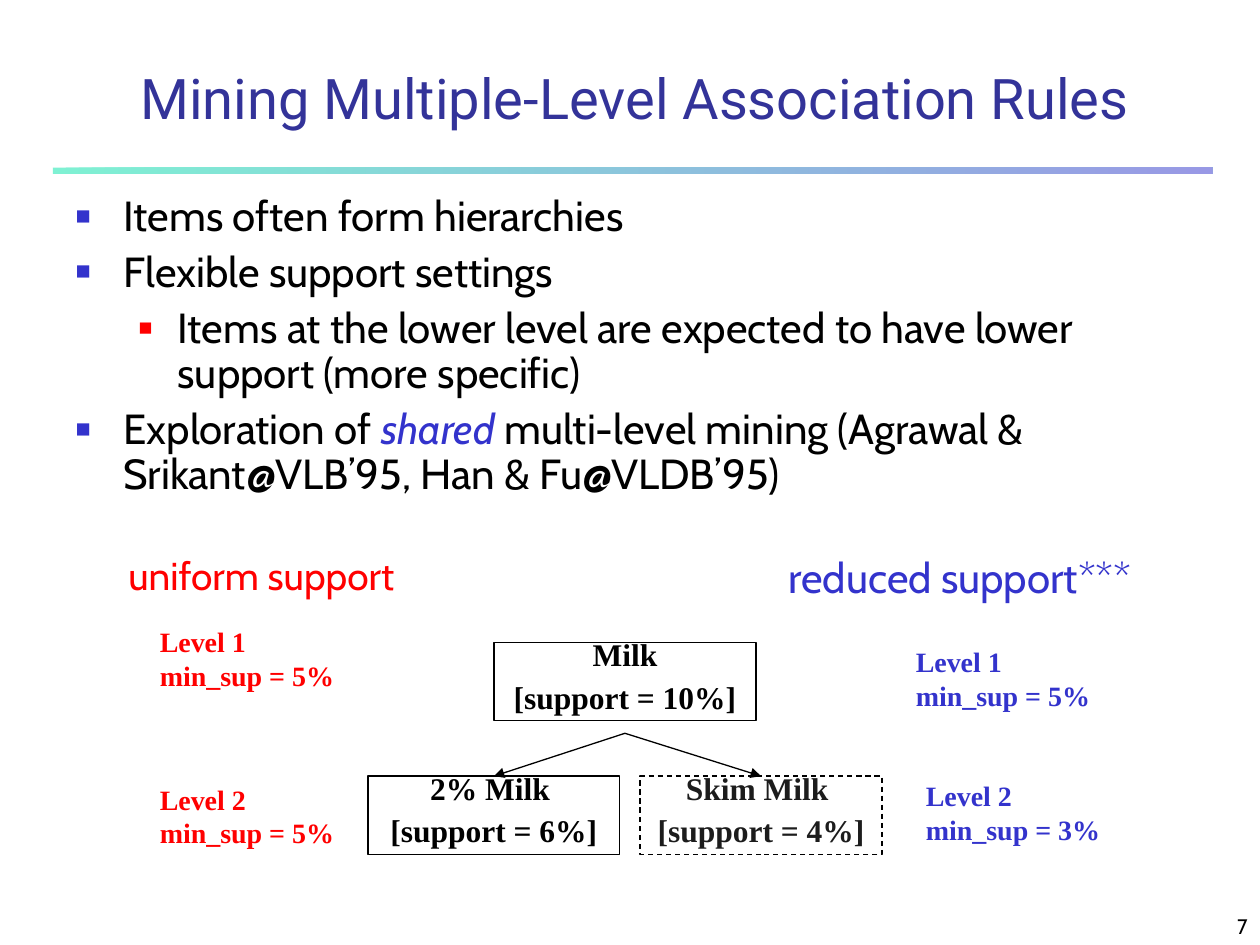
from dataclasses import dataclass

from lxml import etree
from pptx import Presentation
from pptx import util as u
from pptx.dml.color import RGBColor
from pptx.enum import dml, shapes, text
from pptx.oxml import ns


@dataclass(frozen=True)
class Theme:
    black: str = "000000"
    charcoal: str = "1C1C1C"
    white: str = "FFFFFF"
    navy: str = "333399"
    blue: str = "3333CC"
    red: str = "FF0000"
    mint: str = "00E4A8"
    heading: str = "Roboto"
    body: str = "Cabin"
    serif: str = "Times New Roman"
    title_size: float = 32
    body_size: float = 24
    uniform_size: float = 22.2
    node_size: float = 18
    level_size: float = 16
    number_size: float = 12


THEME = Theme()
LEFT, CENTER, RIGHT = text.PP_ALIGN.LEFT, text.PP_ALIGN.CENTER, text.PP_ALIGN.RIGHT


def rgb(color):
    return RGBColor.from_string(color)


def apply(target, values):
    for name, value in values.items():
        setattr(target, name, value)


def add_span(para, words, size, face, color, **styles):
    span = para.add_run()
    span.text = words
    apply(span.font, {"size": u.Pt(size), "name": face, **styles})
    span.font.color.rgb = rgb(color)


def place(shape, left, top, width, height):
    values = {"left": left, "top": top, "width": width, "height": height}
    apply(shape, {name: u.Inches(value) for name, value in values.items()})


def write_lines(frame, lines, size, face, color, align=LEFT, bold=False,
                line_spacing=None, gap=0):
    for index, line in enumerate(lines):
        para = frame.add_paragraph() if index else frame.paragraphs[0]
        apply(para, {"alignment": align, "line_spacing": line_spacing,
                     "space_before": u.Pt(gap if index else 0)})
        add_span(para, line, size, face, color, bold=bold)


def add_label(page, at, lines, size, face, color, wrap=False, bold=False,
              align=LEFT, anchor=text.MSO_ANCHOR.TOP):
    box = page.shapes.add_textbox(*map(u.Inches, at))
    apply(box.text_frame, {"word_wrap": wrap, "vertical_anchor": anchor})
    write_lines(box.text_frame, lines, size, face, color, align, bold)


def set_half_transparent(shape):
    for color in shape._element.spPr.iter(ns.qn("a:srgbClr")):
        etree.SubElement(color, ns.qn("a:alpha"), val="50000")


def add_rectangle(page, at):
    shape = page.shapes.add_shape(shapes.MSO_SHAPE.RECTANGLE, *map(u.Inches, at))
    shape.shadow.inherit = False
    return shape


def add_rule(page):
    rule = add_rectangle(page, (0.42, 1.33, 9.2, 0.05))
    rule.fill.gradient()
    rule.fill.gradient_angle = 0
    for stop, color in zip(rule.fill.gradient_stops, (THEME.mint, THEME.blue)):
        stop.color.rgb = rgb(color)
    set_half_transparent(rule)
    rule.line.fill.background()


def add_node(page, at, lines, color=THEME.black, faded=False):
    """Draw one item of the hierarchy; a faded one is dashed and see-through."""
    node = add_rectangle(page, at)
    node.fill.solid()
    node.fill.fore_color.rgb = rgb(THEME.white)
    if faded:
        set_half_transparent(node)
    node.line.color.rgb = rgb(THEME.black)
    node.line.width = u.Pt(0.75)
    if faded:
        node.line.dash_style = dml.MSO_LINE.DASH
    apply(node.text_frame, {"word_wrap": True, "vertical_anchor": text.MSO_ANCHOR.TOP})
    write_lines(node.text_frame, lines, THEME.node_size, THEME.serif, color,
                CENTER, True, 0.6, 11.2)


def add_arrow(page, start, end):
    arrow = page.shapes.add_connector(
        shapes.MSO_CONNECTOR.STRAIGHT, *map(u.Inches, start + end))
    arrow.line.color.rgb = rgb(THEME.black)
    arrow.line.width = u.Pt(0.75)
    etree.SubElement(arrow.line._get_or_add_ln(), ns.qn("a:tailEnd"), type="triangle")
    etree.SubElement(arrow._element.spPr, ns.qn("a:effectLst"))


def set_bullet(para, color, percent, margin, indent):
    props = para._p.get_or_add_pPr()
    props.set("marL", str(u.Inches(margin)))
    props.set("indent", str(u.Inches(indent)))
    bullet_color = etree.SubElement(props, ns.qn("a:buClr"))
    etree.SubElement(bullet_color, ns.qn("a:srgbClr"), val=color)
    etree.SubElement(props, ns.qn("a:buSzPct"), val=str(percent * 1000))
    etree.SubElement(props, ns.qn("a:buChar"), char="■")


def fill_title(page):
    title = page.shapes.title
    place(title, 0.75, 0.42, 8.58, 0.67)
    apply(title.text_frame, {"vertical_anchor": text.MSO_ANCHOR.BOTTOM,
                             "auto_size": text.MSO_AUTO_SIZE.NONE})
    write_lines(title.text_frame, ["Mining Multiple-Level Association Rules"],
                THEME.title_size, THEME.heading, THEME.navy, CENTER)


def fill_body(page):
    body = page.placeholders[1]
    place(body, 0.5, 1.5, 9.17, 2.58)
    body.text_frame.auto_size = text.MSO_AUTO_SIZE.NONE
    bullets = ((THEME.blue, 60, 0.38, -0.38), (THEME.red, 55, 0.81, -0.31))
    points = [
        (0, ["Items often form hierarchies"]),
        (0, ["Flexible support settings"]),
        (1, ["Items at the lower level are expected to have lower support "
             "(more specific)"]),
        (0, ["Exploration of ", "shared", " multi-level mining (Agrawal & "
             "Srikant@VLB’95, Han & Fu@VLDB’95)"]),
    ]
    for index, (level, parts) in enumerate(points):
        para = body.text_frame.add_paragraph() if index else body.text_frame.paragraphs[0]
        set_bullet(para, *bullets[level])
        apply(para, {"level": level, "line_spacing": 0.9,
                     "space_before": u.Pt(6 if index else 0)})
        for part in parts:
            stressed = part == "shared"
            add_span(para, part, THEME.body_size, THEME.body,
                     THEME.blue if stressed else THEME.black, italic=stressed)


def add_hierarchy(page):
    add_node(page, (3.92, 5.1, 2.08, 0.62), ["Milk", "[support = 10%]"])
    add_node(page, (2.92, 6.16, 2, 0.62), ["2% Milk ", "[support = 6%]"])
    add_node(page, (5.08, 6.16, 1.92, 0.62), ["Skim Milk ", "[support = 4%]"],
             THEME.charcoal, faded=True)
    for child_x in (3.92, 6.04):
        add_arrow(page, (4.96, 5.82), (child_x, 6.16))


def add_support_labels(page):
    add_label(page, (0.92, 4.33, 2.67, 0.58), ["uniform support"],
              THEME.uniform_size, THEME.body, THEME.red, wrap=True)
    add_label(page, (6.16, 4.33, 3.36, 0.5), ["reduced support***"],
              THEME.body_size, THEME.body, THEME.blue)
    levels = [
        (1.17, 4.91, 1, 5, THEME.red),
        (1.17, 6.16, 2, 5, THEME.red),
        (7.17, 5.07, 1, 5, THEME.blue),
        (7.25, 6.13, 2, 3, THEME.blue),
    ]
    for left, top, level, support, color in levels:
        add_label(page, (left, top, 1.58, 0.64),
                  [f"Level {level}", f"min_sup = {support}%"],
                  THEME.level_size, THEME.serif, color, bold=True)


def main():
    deck = Presentation()
    apply(deck, {"slide_width": u.Inches(10), "slide_height": u.Inches(7.5)})
    page = deck.slides.add_slide(deck.slide_layouts[1])
    add_rule(page)
    add_label(page, (7.92, 7.08, 2.08, 0.42), ["7"], THEME.number_size, THEME.body,
              THEME.black, wrap=True, align=RIGHT, anchor=text.MSO_ANCHOR.BOTTOM)
    fill_title(page)
    fill_body(page)
    add_hierarchy(page)
    add_support_labels(page)
    deck.save("out.pptx")


if __name__ == "__main__":
    main()
